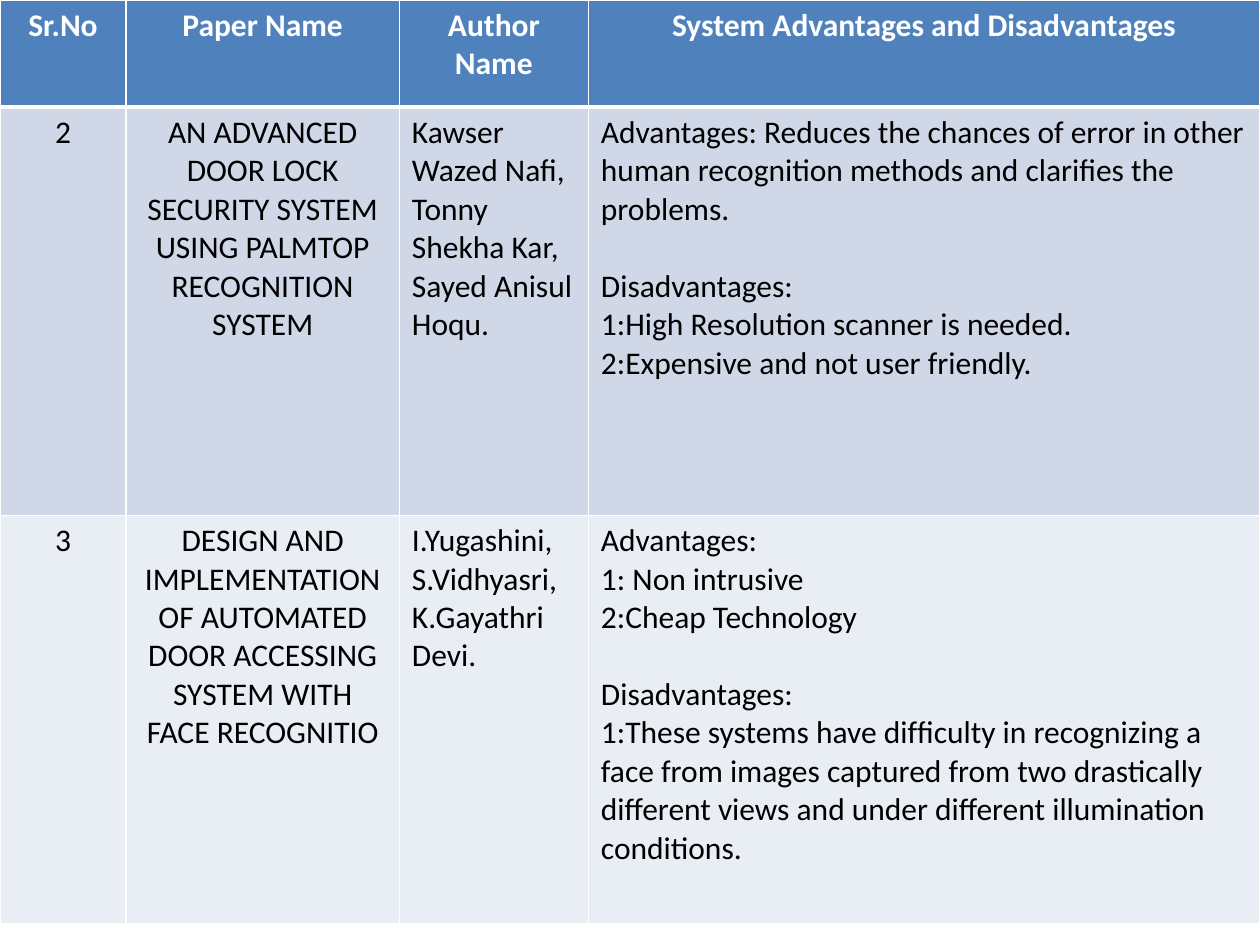
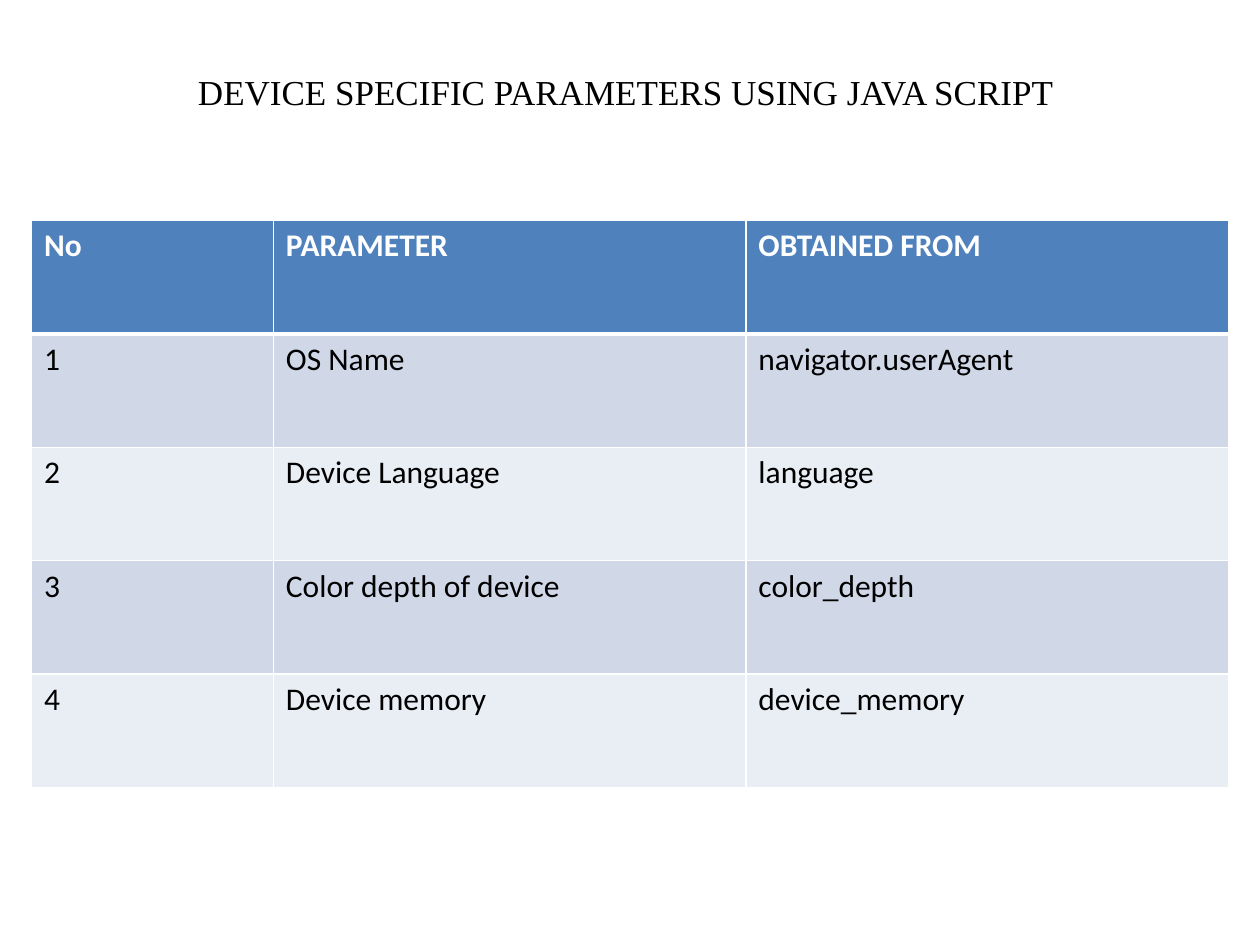
from dataclasses import dataclass

from lxml.etree import SubElement
from pptx import Presentation
from pptx.dml.color import RGBColor
from pptx.enum.text import MSO_ANCHOR, PP_ALIGN
from pptx.oxml.ns import qn
from pptx.util import Inches, Pt


@dataclass(frozen=True)
class Theme:
    header: str = "4F81BD"
    bands: tuple = ("D0D8E8", "E9EDF4")
    light: str = "FFFFFF"
    dark: str = "000000"
    body_font: str = "Calibri"
    title_font: str = "Times New Roman"
    body_size: int = 18
    title_size: int = 20
    section_gap: int = 22
    rule: int = 1
    header_rule: int = 3


THEME = Theme()
LEFT, CENTER = PP_ALIGN.LEFT, PP_ALIGN.CENTER

PAPERS = [
    ("Sr.No", "Paper Name", "Author Name", "System Advantages and Disadvantages"),
    (
        "2",
        "AN ADVANCED DOOR LOCK SECURITY SYSTEM USING PALMTOP RECOGNITION SYSTEM",
        "Kawser Wazed Nafi,\nTonny Shekha Kar,\nSayed Anisul Hoqu.",
        "Advantages: Reduces the chances of error in other human recognition "
        "methods and clarifies the problems.\n"
        "Disadvantages:\n"
        "1:High Resolution scanner is needed.\n"
        "2:Expensive and not user friendly.",
    ),
    (
        "3",
        "DESIGN AND IMPLEMENTATION OF AUTOMATED DOOR ACCESSING SYSTEM WITH FACE RECOGNITIO",
        "I.Yugashini, S.Vidhyasri, K.Gayathri Devi.",
        "Advantages:\n1: Non intrusive\n2:Cheap Technology\n"
        "Disadvantages:\n"
        "1:These systems have difﬁculty in recognizing a face from images captured "
        "from two drastically different views and under different illumination conditions.",
    ),
]

PARAMETERS = [
    ("No", "PARAMETER", "OBTAINED FROM"),
    ("1", "OS Name", "navigator.userAgent"),
    ("2", "Device Language", "language"),
    ("3", "Color depth of device", "color_depth"),
    ("4", "Device memory", "device_memory"),
]


def write_text(frame, text, *, font=THEME.body_font, size=THEME.body_size,
               color=THEME.dark, bold=False, align=LEFT):
    frame.word_wrap = True
    for index, line in enumerate(text.split("\n")):
        paragraph = frame.add_paragraph() if index else frame.paragraphs[0]
        paragraph.alignment = align
        if line == "Disadvantages:":
            paragraph.space_before = Pt(THEME.section_gap)
        run = paragraph.add_run()
        run.text = line
        run.font.name = font
        run.font.size = Pt(size)
        run.font.bold = bold
        run.font.color.rgb = RGBColor.from_string(color)


def set_borders(cell, **widths):
    properties = cell._tc.get_or_add_tcPr()
    for side in ("L", "R", "T", "B"):
        width = Pt(widths.get(side, THEME.rule))
        border = SubElement(properties, qn(f"a:ln{side}"), w=str(width))
        fill = SubElement(border, qn("a:solidFill"))
        SubElement(fill, qn("a:srgbClr"), val=THEME.light)


def add_banded_table(slide, content, left, top, widths, heights,
                     header_align, body_aligns):
    table = slide.shapes.add_table(
        len(heights), len(widths), Inches(left), Inches(top),
        Inches(sum(widths)), Inches(sum(heights))).table
    for column, width in zip(table.columns, widths):
        column.width = Inches(width)
    for row_number, (row, height) in enumerate(zip(table.rows, heights)):
        row.height = Inches(height)
        is_header = row_number == 0
        band = THEME.header if is_header else THEME.bands[(row_number - 1) % 2]
        thick = {0: {"B": THEME.header_rule}, 1: {"T": THEME.header_rule}}
        for cell, text, align in zip(row.cells, content[row_number], body_aligns):
            set_borders(cell, **thick.get(row_number, {}))
            cell.fill.solid()
            cell.fill.fore_color.rgb = RGBColor.from_string(band)
            write_text(cell.text_frame, text, bold=is_header,
                       color=THEME.light if is_header else THEME.dark,
                       align=header_align if is_header else align)


def add_title(slide, text):
    title = slide.shapes.title
    title.left, title.top = Inches(0), Inches(0.17)
    title.width, title.height = Inches(10), Inches(0.77)
    title.text_frame.vertical_anchor = MSO_ANCHOR.BOTTOM
    write_text(title.text_frame, text, font=THEME.title_font,
               size=THEME.title_size, align=CENTER)


def main():
    deck = Presentation()
    deck.slide_width, deck.slide_height = Inches(10), Inches(7.5)
    title_only, blank = deck.slide_layouts[5], deck.slide_layouts[6]

    papers = deck.slides.add_slide(blank)
    add_banded_table(papers, PAPERS, 0, 0, [1, 2.17, 1.5, 5.33],
                     [0.85, 3.24, 3.24], CENTER, [CENTER, CENTER, LEFT, LEFT])

    parameters = deck.slides.add_slide(title_only)
    add_title(parameters, "DEVICE SPECIFIC PARAMETERS USING JAVA SCRIPT ")
    add_banded_table(parameters, PARAMETERS, 0.25, 1.75, [1.92, 3.75, 3.83],
                     [0.9] * len(PARAMETERS), LEFT, [LEFT] * 3)

    deck.save("out.pptx")


if __name__ == "__main__":
    main()
